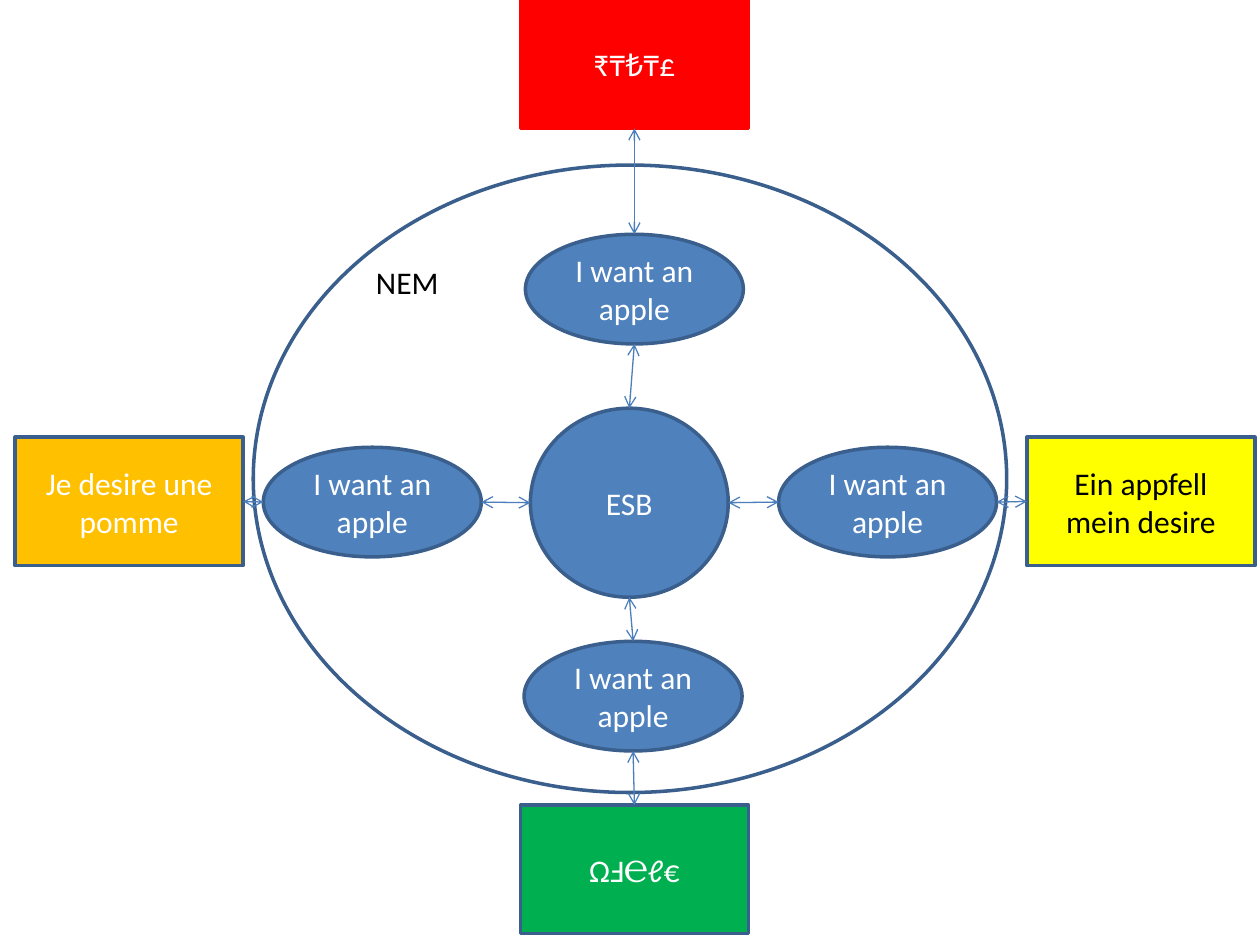
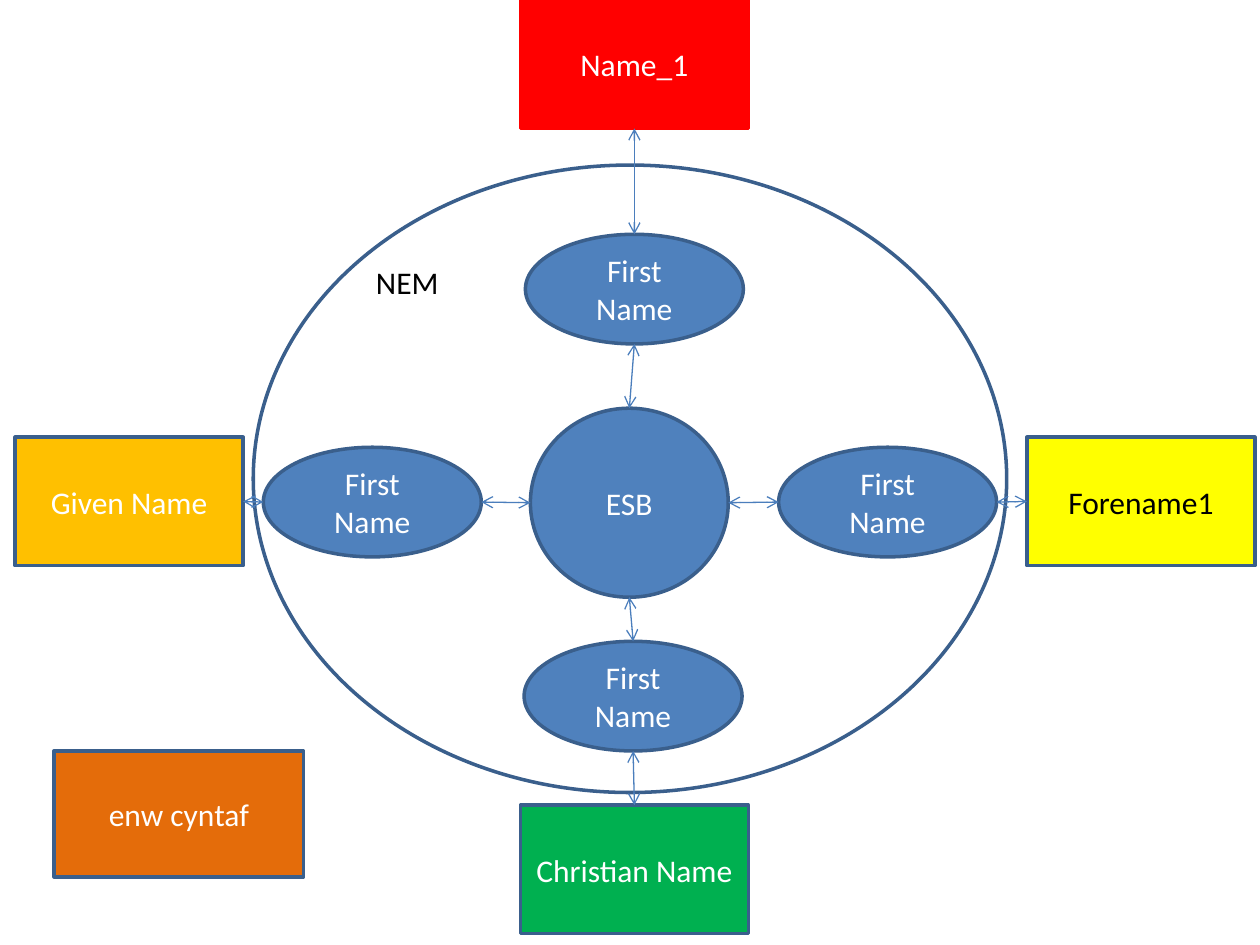
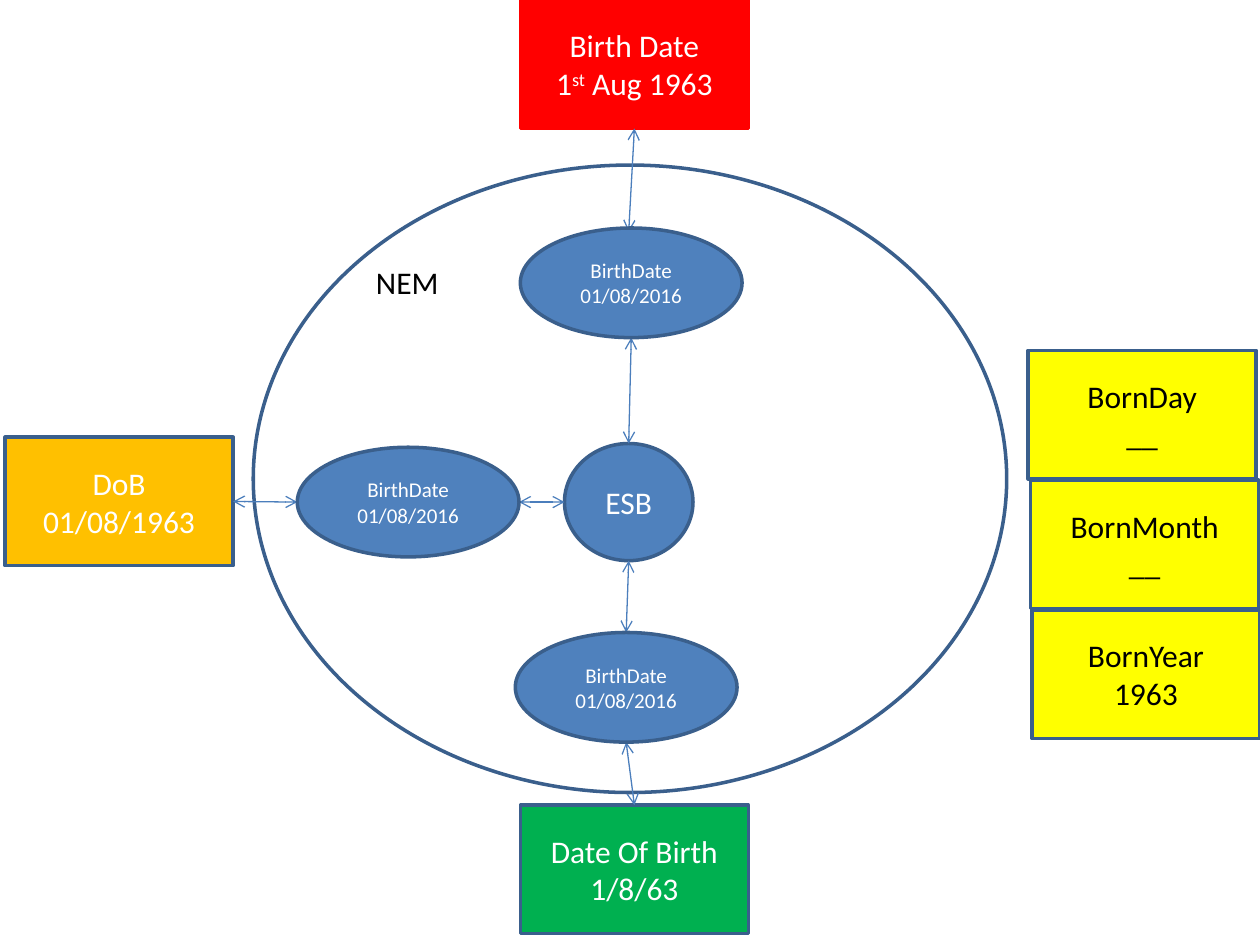
from lxml import etree
from pptx import Presentation
from pptx.dml.color import RGBColor
from pptx.enum.shapes import MSO_CONNECTOR, MSO_SHAPE
from pptx.enum.text import MSO_ANCHOR, PP_ALIGN
from pptx.oxml.ns import qn
from pptx.util import Emu, Pt

PX = 9144  # EMU in one px, 100 px to the inch
COLORS = {
    "blue": "4F81BD", "outline": "3A5F8C", "arrow": "4B7EBC",
    "red": "FF0000", "amber": "FFC000", "yellow": "FFFF00",
    "green": "00B050", "orange": "E46C0A", "white": "FFFFFF", "black": "000000",
}
FONT = "Calibri"

# Look of each kind of node: geometry, fill, outline, text colour
STYLES = {
    "hub": (MSO_SHAPE.OVAL, "blue", "outline", "white"),
    "model": (MSO_SHAPE.OVAL, None, "outline", "black"),
    "red": (MSO_SHAPE.RECTANGLE, "red", "red", "white"),
    "amber": (MSO_SHAPE.RECTANGLE, "amber", "outline", "white"),
    "yellow": (MSO_SHAPE.RECTANGLE, "yellow", "outline", "black"),
    "green": (MSO_SHAPE.RECTANGLE, "green", "outline", "white"),
    "orange": (MSO_SHAPE.RECTANGLE, "orange", "outline", "white"),
}

# Left, top, width and height, in px
SYSTEM = (181, 102)
MESSAGE = (173, 87)
DATE = (176, 87)
MODEL_PLACE = (201, 131, 598, 498)
RED_PLACE = (413, 0, *SYSTEM)
GREEN_PLACE = (413, 639, *SYSTEM)

# Where an arrow meets a node, as shares of its width and height
SIDES = {"left": (0, 0.5), "right": (1, 0.5), "top": (0.5, 0), "bottom": (0.5, 1)}


def add_node(page, style, place, lines, size=18):
    geometry, fill, outline, text_color = STYLES[style]
    box = page.shapes.add_shape(geometry, *[Emu(length * PX) for length in place])
    box.shadow.inherit = False
    if fill:
        box.fill.solid()
        box.fill.fore_color.rgb = RGBColor.from_string(COLORS[fill])
    else:
        box.fill.background()
    box.line.color.rgb = RGBColor.from_string(COLORS[outline])
    box.line.width = Pt(2)
    frame = box.text_frame
    is_model = style == "model"
    frame_format = {
        "word_wrap": True,
        "vertical_anchor": MSO_ANCHOR.TOP if is_model else MSO_ANCHOR.MIDDLE,
    }
    for name, value in frame_format.items():
        setattr(frame, name, value)
    for index, line in enumerate(lines):
        para = frame.paragraphs[0] if index == 0 else frame.add_paragraph()
        para.alignment = PP_ALIGN.LEFT if is_model else PP_ALIGN.CENTER
        # Text between two carets is raised
        for part, words in enumerate(line.split("^")):
            span = para.add_run()
            span.text = words
            for name, value in {"name": FONT, "size": Pt(size)}.items():
                setattr(span.font, name, value)
            span.font.color.rgb = RGBColor.from_string(COLORS[text_color])
            if part % 2:
                span.font._element.set("baseline", "30000")


def add_arrow(page, start, end):
    points = []
    for (left, top, width, height), side in (start, end):
        across, down = SIDES[side]
        points += [Emu(int((left + across * width) * PX)),
                   Emu(int((top + down * height) * PX))]
    arrow = page.shapes.add_connector(MSO_CONNECTOR.STRAIGHT, *points)
    arrow.line.color.rgb = RGBColor.from_string(COLORS["arrow"])
    arrow.line.width = Pt(0.75)
    for end_tag in ("a:headEnd", "a:tailEnd"):
        etree.SubElement(arrow.line._ln, qn(end_tag), type="arrow")
    etree.SubElement(arrow._element.spPr, qn("a:effectLst"))


deck = Presentation()
deck.slide_width = Emu(1000 * PX)
deck.slide_height = Emu(750 * PX)
blank_layout = deck.slide_layouts[6]

# Slides 1 and 2: four systems exchange one message through the hub
hub = (421, 324, 157, 150)
amber = (12, 347, *SYSTEM)
yellow = (815, 347, *SYSTEM)
message_right = (618, 355, *MESSAGE)
message_top = (417, 186, *MESSAGE)
message_left = (209, 355, *MESSAGE)
message_bottom = (416, 509, *MESSAGE)
exchange_arrows = [
    ((hub, "right"), (message_right, "left")),
    ((message_top, "bottom"), (hub, "top")),
    ((message_left, "right"), (hub, "left")),
    ((hub, "bottom"), (message_bottom, "top")),
    ((RED_PLACE, "bottom"), (message_top, "top")),
    ((yellow, "left"), (message_right, "right")),
    ((amber, "right"), (message_left, "left")),
    ((GREEN_PLACE, "top"), (message_bottom, "bottom")),
]
exchanges = [
    ("I want an apple", "Je desire une pomme", "Ein appfell mein desire", "ΩℲ℮ℓ€", "₹₸₺₸£"),
    ("First Name", "Given Name", "Forename1", "Christian Name", "Name_1"),
]
for message, amber_text, yellow_text, green_text, red_text in exchanges:
    page = deck.slides.add_slide(blank_layout)
    nodes = [
        ("hub", message_right, message),
        ("hub", hub, "ESB"),
        ("model", MODEL_PLACE, "NEM"),
        ("amber", amber, amber_text),
        ("yellow", yellow, yellow_text),
        ("green", GREEN_PLACE, green_text),
        ("red", RED_PLACE, red_text),
        ("hub", message_top, message),
        ("hub", message_left, message),
        ("hub", message_bottom, message),
    ]
    for style, place, text in nodes:
        add_node(page, style, place, [text])
    for start, end in exchange_arrows:
        add_arrow(page, start, end)

# Slide 2 has one more system, not linked yet
add_node(page, "orange", (43, 596, 198, 100), ["enw cyntaf"])

# Slide 3: birth dates in several formats
page = deck.slides.add_slide(blank_layout)
hub = (448, 352, 102, 93)
amber = (4, 347, *SYSTEM)
date_left = (236, 355, *DATE)
date_bottom = (409, 502, *DATE)
date_top = (413, 181, *DATE)
date_nodes = [
    ("hub", hub, ["ESB"]),
    ("model", MODEL_PLACE, ["NEM"]),
    ("amber", amber, ["DoB", "01/08/1963"]),
    ("green", GREEN_PLACE, ["Date Of Birth", "1/8/63"]),
    ("red", RED_PLACE, ["Birth Date", "1^st^ Aug 1963"]),
]
for style, place, lines in date_nodes:
    add_node(page, style, place, lines)

# The arrow from the red system ends just behind the top date
behind_top_date = (499, 184, 0, 0)
date_arrows = [
    ((date_top, "bottom"), (hub, "top")),
    ((date_left, "right"), (hub, "left")),
    ((hub, "bottom"), (date_bottom, "top")),
    ((RED_PLACE, "bottom"), (behind_top_date, "top")),
    ((amber, "right"), (date_left, "left")),
    ((GREEN_PLACE, "top"), (date_bottom, "bottom")),
]
for start, end in date_arrows:
    add_arrow(page, start, end)

# Stack of the three date parts
date_parts = [(816, "BornDay", "__"), (818, "BornMonth", "__"), (819, "BornYear", "1963")]
for row, (left, field, value) in enumerate(date_parts):
    add_node(page, "yellow", (left, 278 + 103 * row, *SYSTEM), [field, value])

for place in (date_left, date_bottom, date_top):
    add_node(page, "hub", place, ["BirthDate", "01/08/2016"], size=12)

deck.save("out.pptx")
